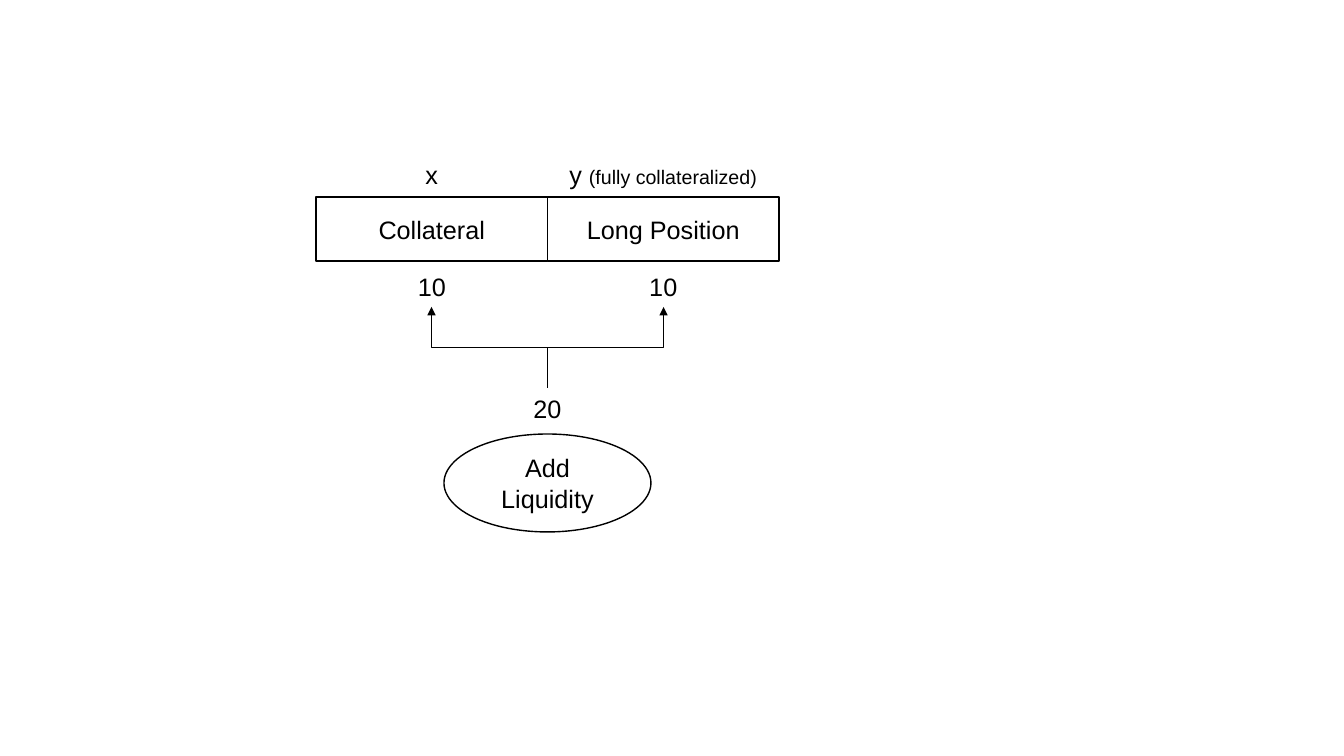
from lxml import etree
from pptx import Presentation
from pptx.dml.color import RGBColor
from pptx.enum.shapes import MSO_CONNECTOR, MSO_SHAPE
from pptx.enum.text import MSO_ANCHOR, MSO_AUTO_SIZE, PP_ALIGN
from pptx.oxml.ns import qn
from pptx.util import Pt

RECTANGLE, OVAL = MSO_SHAPE.RECTANGLE, MSO_SHAPE.OVAL
ELBOW = MSO_CONNECTOR.ELBOW
MIDDLE, TOP = MSO_ANCHOR.MIDDLE, MSO_ANCHOR.TOP
CENTER = PP_ALIGN.CENTER
FIT_SHAPE = MSO_AUTO_SIZE.SHAPE_TO_FIT_TEXT

COLORS = {"ink": "000000"}
FONT = "Arial"
SCALE = 914400 / 100.8
LABEL_HEIGHT = 40
AMOUNT_WIDTH = 88


def emu(*pixels):
    return [round(value * SCALE) for value in pixels]


def ink():
    return RGBColor.from_string(COLORS["ink"])


def write(shape, spans, anchor):
    frame = shape.text_frame
    frame.word_wrap = True
    frame.vertical_anchor = anchor
    para = frame.paragraphs[0]
    para.alignment = CENTER
    for text, size in spans:
        span = para.add_run()
        span.text = text
        span.font.name = FONT
        span.font.size = Pt(size)
        span.font.color.rgb = ink()


def add_label(page, left, top, width, *spans):
    box = page.shapes.add_textbox(*emu(left, top, width, LABEL_HEIGHT))
    write(box, spans, TOP)
    box.text_frame.auto_size = FIT_SHAPE


def add_amount(page, center, top, text):
    add_label(page, center - AMOUNT_WIDTH / 2, top, AMOUNT_WIDTH, (text, 18))


def add_outline(page, preset, box, text):
    shape = page.shapes.add_shape(preset, *emu(*box))
    shape.shadow.inherit = False
    shape.fill.background()
    shape.line.color.rgb = ink()
    shape.line.width = Pt(1)
    write(shape, [(text, 18)], MIDDLE)


def add_rising_arrow(page, start_x, start_y, end_x, end_y):
    center_x, center_y = (start_x + end_x) / 2, (start_y + end_y) / 2
    half_rise, half_run = (start_y - end_y) / 2, abs(end_x - start_x) / 2
    side = 1 if end_x > start_x else -1
    arrow = page.shapes.add_connector(ELBOW, *emu(
        center_x + side * half_rise, center_y + half_run,
        center_x - side * half_rise, center_y - half_run))
    arrow.line.color.rgb = ink()
    arrow.line.width = Pt(0.5)
    properties = arrow._element.spPr
    angle = 90 if side > 0 else 270
    properties.find(qn("a:xfrm")).set("rot", str(angle * 60000))
    etree.SubElement(properties.find(qn("a:ln")), qn("a:tailEnd"), type="triangle")
    etree.SubElement(properties, qn("a:effectLst"))


def add_pool(page, left, top, width, height):
    cell_width = width / 2
    columns = [
        ([("x", 18)], "Collateral", "10"),
        ([("y ", 18), ("(fully collateralized)", 14)], "Long Position", "10"),
    ]
    for index, (heading, name, amount) in enumerate(columns):
        cell_left = left + index * cell_width
        add_label(page, cell_left, top - 43, cell_width, *heading)
        add_outline(page, RECTANGLE, (cell_left, top, cell_width, height), name)
        add_amount(page, cell_left + cell_width / 2, top + height + 5, amount)


def add_deposit(page, left, top, width, height, reach, rise):
    center = left + width / 2
    amount_top = top - 46
    add_outline(page, OVAL, (left, top, width, height), "Add Liquidity")
    add_amount(page, center, amount_top, "20")
    for side in (-1, 1):
        add_rising_arrow(page, center, amount_top,
                         center + side * reach, amount_top - rise)


deck = Presentation()
deck.slide_width, deck.slide_height = emu(1344, 756)
page = deck.slides.add_slide(deck.slide_layouts[6])
add_pool(page, 316, 197, 463, 64)
add_deposit(page, 444, 434, 207, 98, reach=116, rise=81)
deck.save("out.pptx")
